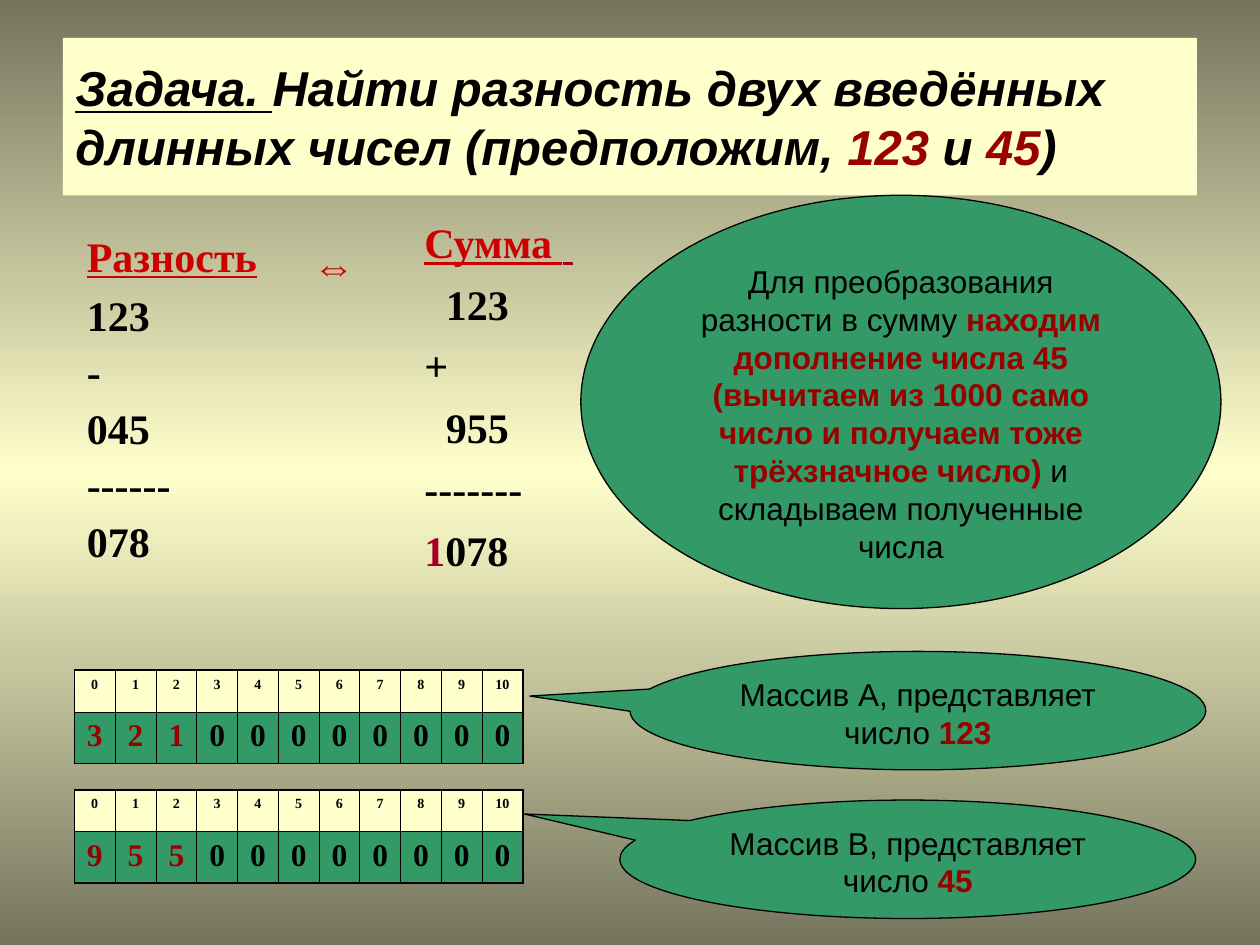
from copy import deepcopy

from lxml.etree import SubElement
from pptx import Presentation
from pptx.dml.color import RGBColor
from pptx.enum.shapes import MSO_SHAPE as Shape
from pptx.enum.text import MSO_ANCHOR as Anchor, PP_ALIGN as Align
from pptx.oxml.ns import qn
from pptx.util import Inches, Pt

BLACK, DARK_RED, RED, CRIMSON = "000000", "990000", "CC0000", "A50021"
CREAM, GREEN, OLIVE = "FFFFCC", "339966", "75755E"
SERIF, SANS = "Times New Roman", "Arial"
THICK, THIN = 1.08, 0.45

BACKGROUND = [(0, OLIVE), (0.5, CREAM), (1, OLIVE)]

TITLE = [
    ("Задача. ", BLACK, "u"),
    ("Найти разность двух введённых длинных чисел (предположим, ", BLACK, ""),
    ("123 ", DARK_RED, ""),
    ("и", BLACK, ""),
    (" 45", DARK_RED, ""),
    (")", BLACK, ""),
]

BUBBLES = [
    (Shape.OVAL_CALLOUT, (5, 5.17, 4.57, 0.94), (-0.674, -0.123), [
        ("Массив А, представляет число ", BLACK, ""),
        ("123", DARK_RED, "b"),
    ]),
    (Shape.OVAL_CALLOUT, (4.92, 6.35, 4.57, 0.94), (-0.666, -0.382), [
        ("Массив В, представляет число ", BLACK, ""),
        ("45", DARK_RED, "b"),
    ]),
    (Shape.OVAL, (4.61, 1.55, 5.08, 3.28), (), [
        ("Для преобразования разности в сумму ", BLACK, ""),
        ("находим дополнение числа 45 (вычитаем из 1000 само число "
         "и получаем тоже трёхзначное число)", DARK_RED, "b"),
        (" и складываем полученные числа", BLACK, ""),
    ]),
]

DIFFERENCE = [[("Разность", RED, "u")]] + [
    [(line, BLACK, "")] for line in ("123", "-", "045", "------", "078")
]
SUM = [
    [("Сумма ", RED, "u"), (" ", CRIMSON, "u")],
    [("123", BLACK, "")],
    [("+", BLACK, "")],
    [("955", BLACK, "")],
    [("-------", BLACK, "")],
    [("1", CRIMSON, ""), ("078", BLACK, "")],
]
INDENTED_TERMS = (1, 3)

ARRAYS = [(5.32, [3, 2, 1]), (6.27, [9, 5, 5])]
ARRAY_LENGTH = 11
ARRAY_LEFT, ARRAY_WIDTH = 0.59, 3.56
ROW_HEIGHTS = (0.33, 0.41)


def color(value):
    return RGBColor.from_string(value)


def write(paragraph, runs, font, size, bold=None, italic=None, align=Align.LEFT):
    paragraph.alignment = align
    paragraph.font.name, paragraph.font.size = font, Pt(size)
    paragraph.font.bold, paragraph.font.italic = bold, italic
    for text, tint, marks in runs:
        run = paragraph.add_run()
        run.text = text
        run.font.color.rgb = color(tint)
        if "b" in marks:
            run.font.bold = True
        if "u" in marks:
            run.font.underline = True


def add_box(slide, kind, box, fill, anchor, outlined=True):
    shape = slide.shapes.add_shape(kind, *map(Inches, box))
    shape.shadow.inherit = False
    shape.fill.solid()
    shape.fill.fore_color.rgb = color(fill)
    if outlined:
        shape.line.color.rgb = color(BLACK)
        shape.line.width = Pt(0.75)
    else:
        shape.line.fill.background()
    shape.text_frame.word_wrap = True
    shape.text_frame.vertical_anchor = anchor
    return shape


def add_lines(slide, box, lines, font=SERIF, spacing=None, align=Align.LEFT):
    frame = slide.shapes.add_textbox(*map(Inches, box)).text_frame
    frame.word_wrap = True
    for index, runs in enumerate(lines):
        paragraph = frame.add_paragraph() if index else frame.paragraphs[0]
        if index:
            paragraph.space_before = Pt(15)
        if spacing:
            paragraph.line_spacing = spacing[min(index, 1)]
        write(paragraph, runs, font, 24, bold=True, align=align)
    return frame


def set_borders(cell, widths):
    properties = cell._tc.get_or_add_tcPr()
    for side, width in zip("LRTB", widths):
        line = SubElement(properties, qn(f"a:ln{side}"), w=str(Pt(width)))
        fill = SubElement(line, qn("a:solidFill"))
        SubElement(fill, qn("a:srgbClr"), val=BLACK)


def add_array(slide, top, digits):
    values = digits + [0] * (ARRAY_LENGTH - len(digits))
    rows = [(range(ARRAY_LENGTH), 8, CREAM), (values, 18, GREEN)]
    box = (ARRAY_LEFT, top, ARRAY_WIDTH, sum(ROW_HEIGHTS))
    table = slide.shapes.add_table(len(rows), ARRAY_LENGTH, *map(Inches, box)).table
    table.first_row = table.horz_banding = False
    for column in table.columns:
        column.width = Inches(ARRAY_WIDTH / ARRAY_LENGTH)
    for row, (numbers, size, fill) in enumerate(rows):
        table.rows[row].height = Inches(ROW_HEIGHTS[row])
        for column, number in enumerate(numbers):
            cell = table.cell(row, column)
            outer = (column == 0, column == ARRAY_LENGTH - 1, row == 0, row == 1)
            set_borders(cell, [THICK if edge else THIN for edge in outer])
            cell.fill.solid()
            cell.fill.fore_color.rgb = color(fill)
            tint = DARK_RED if row and column < len(digits) else BLACK
            write(cell.text_frame.paragraphs[0], [(str(number), tint, "")],
                  SERIF, size, bold=True, align=Align.CENTER)


def paint_background(slide):
    fill = slide.background.fill
    fill.gradient()
    fill.gradient_angle = 90
    stops = slide.element.find(".//" + qn("a:gsLst"))
    stops.insert(1, deepcopy(stops[0]))
    for stop, (position, tint) in zip(fill.gradient_stops, BACKGROUND):
        stop.position = position
        stop.color.rgb = color(tint)


def main():
    presentation = Presentation()
    presentation.slide_width, presentation.slide_height = Inches(10), Inches(7.5)
    slide = presentation.slides.add_slide(presentation.slide_layouts[6])
    paint_background(slide)

    title = add_box(slide, Shape.RECTANGLE, (0.5, 0.3, 9, 1.25), CREAM,
                    Anchor.MIDDLE, outlined=False)
    write(title.text_frame.paragraphs[0], TITLE, SANS, 28, bold=True, italic=True)

    for top, digits in ARRAYS:
        add_array(slide, top, digits)

    for kind, box, tail, runs in BUBBLES:
        bubble = add_box(slide, kind, box, GREEN, Anchor.TOP)
        for index, value in enumerate(tail):
            bubble.adjustments[index] = value
        write(bubble.text_frame.paragraphs[0], runs, SANS, 18, align=Align.CENTER)

    add_lines(slide, (0.59, 1.78, 2.05, 2.74), DIFFERENCE, spacing=(1, 0.6))
    sum_frame = add_lines(slide, (3.27, 1.78, 1.65, 2.82), SUM, spacing=(0.7, 0.7))
    for index in INDENTED_TERMS:
        properties = sum_frame.paragraphs[index]._p.get_or_add_pPr()
        properties.set("marL", str(Inches(0.17)))
    add_lines(slide, (1.77, 1.86, 1.76, 0.5), [[("⇔", RED, "")]], font=SANS,
              align=Align.CENTER)

    presentation.save("out.pptx")


if __name__ == "__main__":
    main()
